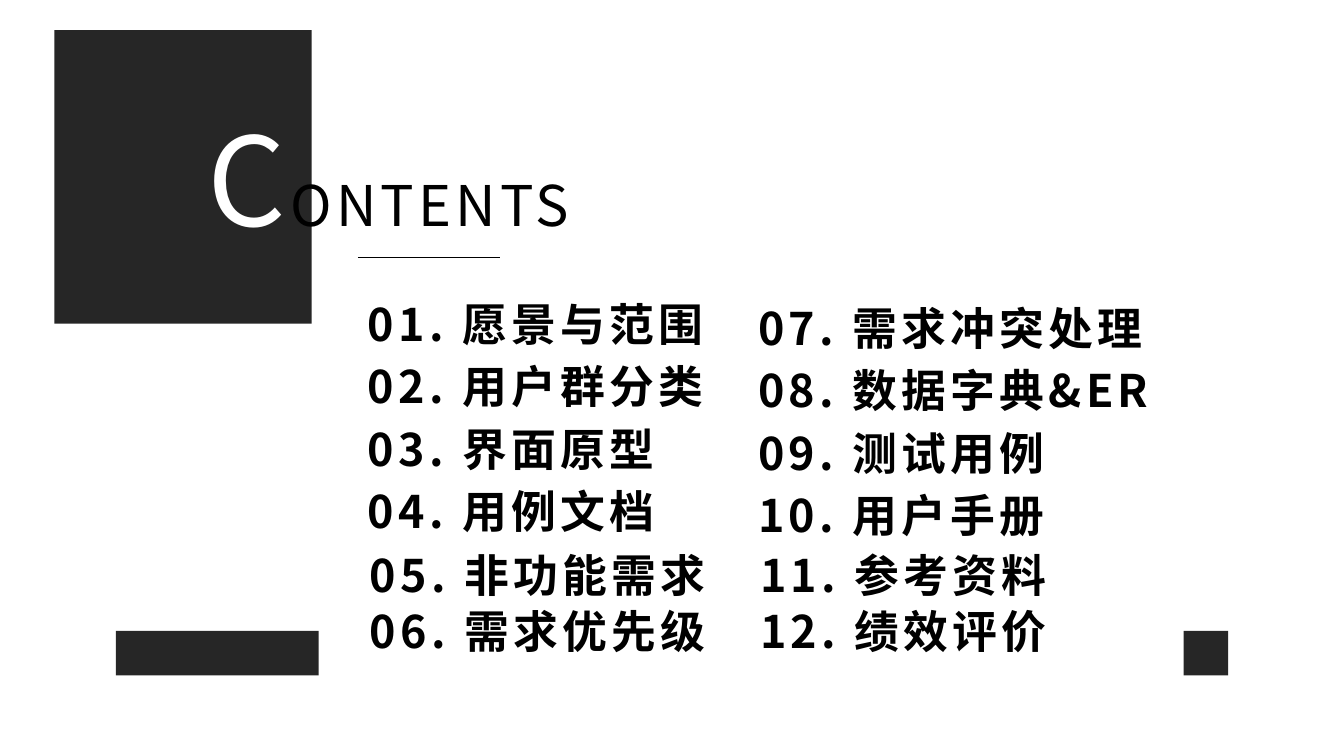
from dataclasses import dataclass

from lxml.etree import SubElement
from pptx import Presentation
from pptx.dml.color import RGBColor
from pptx.enum.shapes import MSO_CONNECTOR, MSO_SHAPE
from pptx.enum.text import MSO_ANCHOR, MSO_AUTO_SIZE, PP_ALIGN
from pptx.oxml.ns import qn
from pptx.util import Inches, Pt


@dataclass(frozen=True)
class Theme:
    font: str = "Noto Sans CJK SC"
    ink: RGBColor = RGBColor(0, 0, 0)
    block: RGBColor = RGBColor(0x26, 0x26, 0x26)
    initial: RGBColor = RGBColor(255, 255, 255)
    initial_size: int = 88
    heading_size: int = 40
    entry_size: int = 32
    letter_spacing: int = 300


THEME = Theme()
PX_PER_INCH = 100
LATE_ROW = 4  # from this row on, both columns share a tighter grid

COLUMNS = [
    (355, 289, ["愿景与范围", "用户群分类", "界面原型",
                "用例文档", "非功能需求", "需求优先级"]),
    (742, 293, ["需求冲突处理", "数据字典&ER", "测试用例",
                "用户手册", "参考资料", "绩效评价"]),
]
BLOCKS = [(1174, 626, 44, 44), (115, 626, 201, 44), (54, 30, 255, 291)]


def px(length):
    return Inches(length / PX_PER_INCH)


def set_all(target, values):
    for name, value in values.items():
        setattr(target, name, value)


def add_run(paragraph, text, size, color, bold=False):
    """Add a letter-spaced run whose font also applies to Chinese characters."""
    run = paragraph.add_run()
    run.text = text
    set_all(run.font, {"name": THEME.font, "size": Pt(size), "bold": bold})
    run.font.color.rgb = color
    properties = run.font._element
    properties.set("spc", str(THEME.letter_spacing))
    SubElement(properties, qn("a:ea")).set("typeface", THEME.font)


def add_block(slide, left, top, width, height):
    block = slide.shapes.add_shape(
        MSO_SHAPE.RECTANGLE, px(left), px(top), px(width), px(height))
    block.shadow.inherit = False
    block.fill.solid()
    block.fill.fore_color.rgb = THEME.block
    block.line.fill.background()


def place_heading(slide):
    heading = slide.shapes.title
    heading.element.getparent().append(heading.element)  # in front of the blocks
    set_all(heading, {"left": px(196), "top": px(97),
                      "width": px(430), "height": px(158)})
    set_all(heading.text_frame, {
        "word_wrap": True,
        "auto_size": MSO_AUTO_SIZE.SHAPE_TO_FIT_TEXT,
        "vertical_anchor": MSO_ANCHOR.TOP,
    })
    paragraph = heading.text_frame.paragraphs[0]
    paragraph.alignment = PP_ALIGN.JUSTIFY
    add_run(paragraph, "C", THEME.initial_size, THEME.initial)
    add_run(paragraph, "ONTENTS", THEME.heading_size, THEME.ink)


def add_rule(slide, left, right, y):
    rule = slide.shapes.add_connector(
        MSO_CONNECTOR.STRAIGHT, px(left), px(y), px(right), px(y))
    rule.line.color.rgb = THEME.ink
    rule.line.width = Pt(0.5)
    SubElement(rule.element.spPr, qn("a:effectLst"))


def add_entry(slide, left, top, text):
    entry = slide.shapes.add_textbox(px(left), px(top), px(587), px(64))
    set_all(entry.text_frame, {
        "word_wrap": True, "auto_size": MSO_AUTO_SIZE.SHAPE_TO_FIT_TEXT})
    add_run(entry.text_frame.paragraphs[0], text,
            THEME.entry_size, THEME.ink, bold=True)


def add_column(slide, left, first_top, topics, first_number):
    for row, topic in enumerate(topics):
        if row < LATE_ROW:
            x, y = left, first_top + 62 * row
        else:
            x, y = left + 2, 538 + 56 * (row - LATE_ROW)
        add_entry(slide, x, y, f"{first_number + row:02d}. {topic}")


def main():
    deck = Presentation()
    set_all(deck, {"slide_width": px(1333), "slide_height": px(750)})
    slide = deck.slides.add_slide(deck.slide_layouts.get_by_name("Title Only"))
    for block in BLOCKS:
        add_block(slide, *block)
    place_heading(slide)
    add_rule(slide, 355, 496, 255)
    first_number = 1
    for left, first_top, topics in COLUMNS:
        add_column(slide, left, first_top, topics, first_number)
        first_number += len(topics)
    deck.save("out.pptx")


if __name__ == "__main__":
    main()
